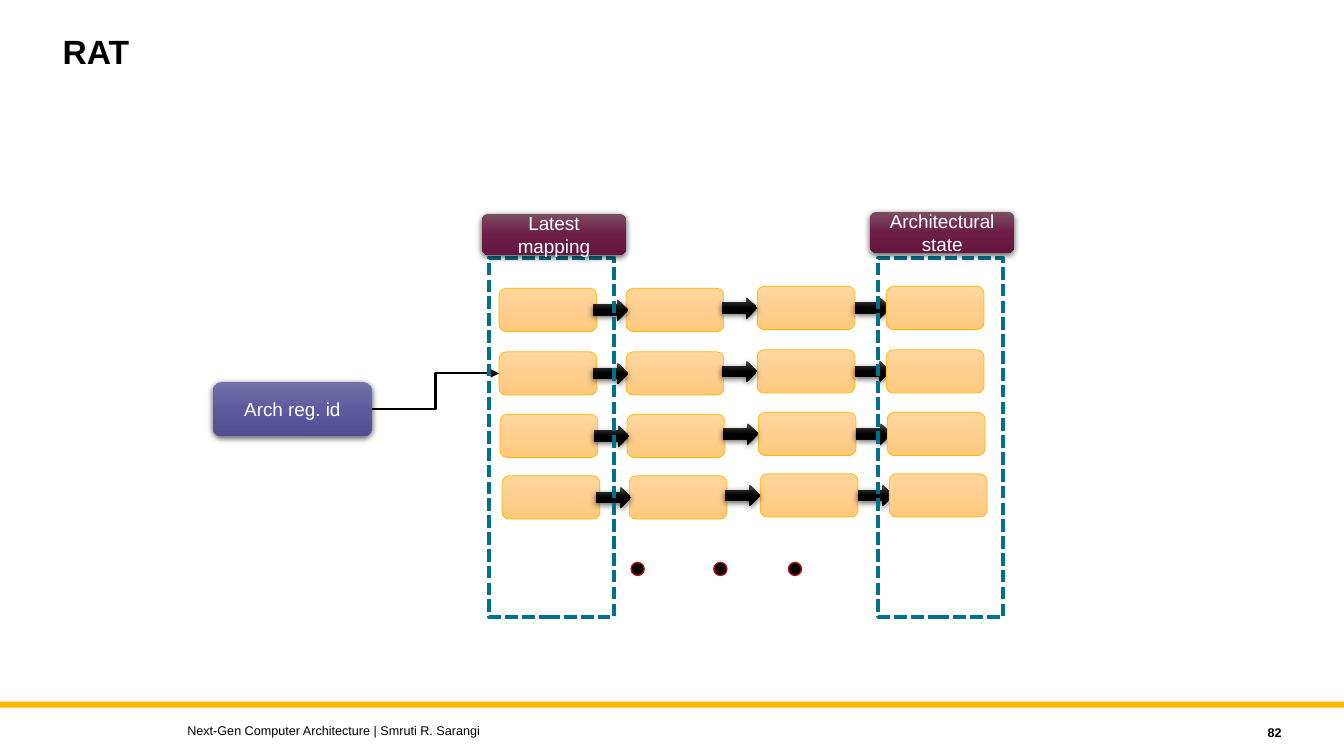
from lxml.etree import SubElement
from pptx import Presentation
from pptx.dml.color import RGBColor
from pptx.enum.dml import MSO_LINE
from pptx.enum.shapes import MSO_CONNECTOR, MSO_SHAPE
from pptx.enum.text import MSO_ANCHOR, PP_ALIGN
from pptx.oxml.ns import qn
from pptx.util import Inches, Pt

TITLE = "RAT"
FOOTER = "Next-Gen Computer Architecture | Smruti R. Sarangi"
PAGE_NUMBER = "82"
REGISTER_LABEL = "Arch reg. id"
COLUMN_FRAMES = [
    ("Latest mapping", 4.85, 4.78, 2.12),
    ("Architectural state", 8.71, 8.63, 2.1),
]

ORANGE = ("FFD69E", "FFCF90", "FFC97C")
BLACK = ("4B4B4B", "000000", "000000")
VIOLET = ("7571A8", "5F5A9F", "524D90")
PLUM = ("7C4F62", "6D1D46", "64173E")

ROWS = [(0, 2.86), (0, 3.49), (0.01, 4.11), (0.03, 4.72)]
CELLS = [(4.95, 0), (6.21, 0), (7.51, -0.02), (8.79, -0.02)]
ARROWS = [(5.88, 0.11), (7.16, 0.09), (8.48, 0.09)]
CELL_SIZE = (0.97, 0.43)
ARROW_SIZE = (0.35, 0.21)
DOTS = [6.26, 7.08, 7.82]


def color(value):
    return RGBColor.from_string(value)


def add_block(kind, left, top, size, fill=None, line=None, width=1):
    block = page.shapes.add_shape(kind, Inches(left), Inches(top), *map(Inches, size))
    block.shadow.inherit = False
    if fill:
        block.fill.solid()
        block.fill.fore_color.rgb = color(fill)
    else:
        block.fill.background()
    if line:
        block.line.color.rgb = color(line)
        block.line.width = Pt(width)
    else:
        block.line.fill.background()
    return block


def add_gradient(block, colors):
    block.fill.gradient()
    block.fill.gradient_angle = 270
    stops = block.element.spPr.find(qn("a:gradFill")).find(qn("a:gsLst"))
    stops.clear()
    for position, value in zip((0, 50000, 100000), colors):
        stop = SubElement(stops, qn("a:gs"), pos=str(position))
        SubElement(stop, qn("a:srgbClr"), val=value)


def add_shadow(block):
    effects = block.element.spPr.find(qn("a:effectLst"))
    shadow = SubElement(effects, qn("a:outerShdw"), blurRad=str(Pt(4.5)),
                        dist=str(Pt(1.5)), dir="5400000", algn="ctr", rotWithShape="0")
    tint = SubElement(shadow, qn("a:srgbClr"), val="000000")
    SubElement(tint, qn("a:alpha"), val="63000")


def write(box, text, size, value, align, bold=False, anchor=MSO_ANCHOR.MIDDLE):
    frame = box.text_frame
    frame.word_wrap = True
    frame.vertical_anchor = anchor
    para = frame.paragraphs[0]
    para.text = text
    para.alignment = align
    para.font.name = "Arial"
    para.font.size = Pt(size)
    para.font.bold = bold
    para.font.color.rgb = color(value)
    return para


def add_label(text, left, top, size, colors):
    label = add_block(MSO_SHAPE.ROUNDED_RECTANGLE, left, top, size)
    add_gradient(label, colors)
    add_shadow(label)
    write(label, text, 13.5, "FFFFFF", PP_ALIGN.CENTER)
    return label


def add_cell(left, top):
    cell = add_block(MSO_SHAPE.ROUNDED_RECTANGLE, left, top, CELL_SIZE, line="FFB600", width=0.5)
    add_gradient(cell, ORANGE)
    return cell


def add_row(shift, top):
    places = [(left + shift, top + drop) for left, drop in CELLS]
    cells = [add_cell(*place) for place in places[:-1]]
    for left, drop in ARROWS:
        arrow = add_block(MSO_SHAPE.RIGHT_ARROW, left + shift, top + drop, ARROW_SIZE)
        add_gradient(arrow, BLACK)
        add_shadow(arrow)
    add_cell(*places[-1])
    return cells[0]


def add_elbow(source, target):
    elbow = page.shapes.add_connector(MSO_CONNECTOR.ELBOW, 0, 0, 0, 0)
    elbow.begin_connect(source, 3)
    elbow.end_connect(target, 1)
    elbow.line.color.rgb = color("000000")
    elbow.line.width = Pt(1.5)
    SubElement(elbow.line._get_or_add_ln(), qn("a:tailEnd"), type="triangle")
    SubElement(elbow._element.spPr, qn("a:effectLst"))


def add_note(text, left, top, width, align, bold=False):
    box = page.shapes.add_textbox(Inches(left), Inches(top), Inches(width), Inches(0.25))
    write(box, text, 9, "000000", align, bold)


deck = Presentation()
deck.slide_width = Inches(13.33)
deck.slide_height = Inches(7.5)
page = deck.slides.add_slide(deck.slide_layouts[5])

add_block(MSO_SHAPE.RECTANGLE, 0, 6.96, (13.33, 0.06), fill="FFB600")

title = page.shapes.title
title.left, title.top, title.width, title.height = map(Inches, (0.52, 0.3, 10, 0.9))
heading = write(title, TITLE, 24, "000000", PP_ALIGN.LEFT, True, MSO_ANCHOR.TOP)
heading.line_spacing = 0.9

first_cells = [add_row(*row) for row in ROWS]

for left in DOTS:
    add_block(MSO_SHAPE.OVAL, left, 5.58, (0.13, 0.13), fill="000000", line="A7131A")

register = add_label(REGISTER_LABEL, 2.11, 3.79, (1.58, 0.54), VIOLET)
add_elbow(register, first_cells[1])

for text, frame_left, label_left, label_top in COLUMN_FRAMES:
    outline = add_block(MSO_SHAPE.RECTANGLE, frame_left, 2.56, (1.24, 3.56), line="01708C", width=3)
    outline.line.dash_style = MSO_LINE.SQUARE_DOT
    add_label(text, label_left, label_top, (1.43, 0.41), PLUM)

add_note(PAGE_NUMBER, 11.41, 7.14, 1.4, PP_ALIGN.RIGHT, True)
add_note(FOOTER, 1.76, 7.12, 8, PP_ALIGN.LEFT)

deck.save("out.pptx")
